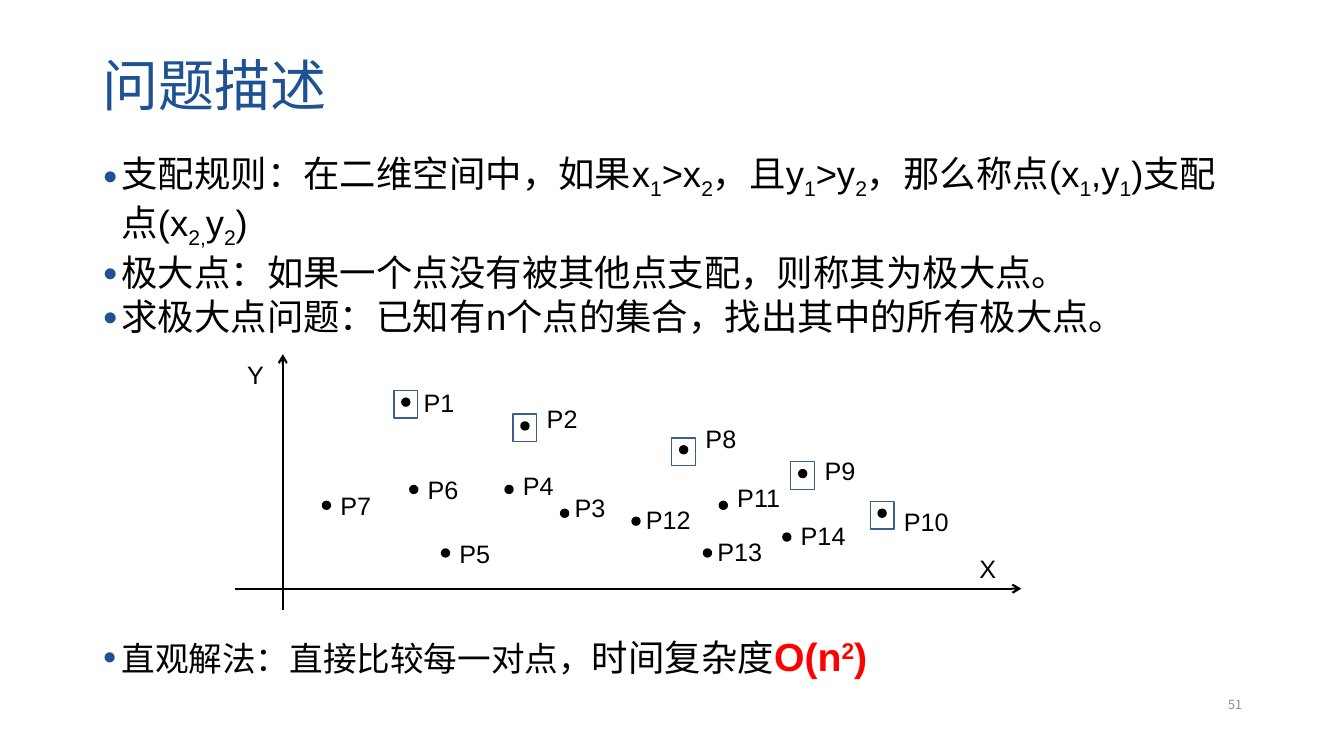
from lxml import etree
from pptx import Presentation
from pptx.dml.color import RGBColor
from pptx.enum import shapes, text
from pptx.oxml import ns
from pptx.util import Pt

BLUE = RGBColor(0x1E, 0x52, 0x93)
FRAME = RGBColor(0x3A, 0x5F, 0x8C)
BLACK = RGBColor(0, 0, 0)
RED = RGBColor(0xFF, 0, 0)
GRAY = RGBColor(0x8C, 0x8C, 0x8C)
LATIN, HAN = "Arial", "Noto Sans CJK SC"

# Subscripts stand between bars.
RULES = [
    "支配规则：在二维空间中，如果x|1|>x|2|，且y|1|>y|2|，那么称点(x|1|,y|1|)支配点(x|2,|y|2|)",
    "极大点：如果一个点没有被其他点支配，则称其为极大点。",
    "求极大点问题：已知有n个点的集合，找出其中的所有极大点。",
]

STEP = 5.67  # grid unit of the plot
# name, grid x, grid y, label shift right, label shift up, maximal
POINTS = [
    ("P1", 21, 24, 1.5, 2, True),
    ("P2", 36, 21, 2, 3, True),
    ("P3", 41, 10, 0.5, 2.8, False),
    ("P4", 34, 13, 1, 2.5, False),
    ("P5", 26, 5, 1, 2, False),
    ("P6", 22, 13, 1, 2, False),
    ("P7", 11, 11, 1, 2, False),
    ("P8", 56, 18, 2, 3.4, True),
    ("P9", 71, 15, 2, 2.4, True),
    ("P10", 81, 10, 2, 1, True),
    ("P11", 61, 11, 1, 3, False),
    ("P12", 50, 9, 0.5, 2.2, False),
    ("P13", 59, 5, 0.5, 2.2, False),
    ("P14", 69, 7, 1, 2.2, False),
]


def style(run, size, color=BLACK, bold=False, shift=0, latin=LATIN):
    """Format a run; shift raises or lowers it by a percentage."""
    font = run.font
    font.size, font.bold, font.name = Pt(size), bold, latin
    font.color.rgb = color
    props = run._r.get_or_add_rPr()
    etree.SubElement(props, ns.qn("a:ea")).set("typeface", HAN)
    if shift:
        props.set("baseline", str(shift * 1000))


def frame(slide, left, top, width, height, wrap=True):
    box = slide.shapes.add_textbox(Pt(left), Pt(top), Pt(width), Pt(height))
    box.text_frame.word_wrap = wrap
    return box.text_frame


def bullet(para, pitch):
    """Give the paragraph a blue dot, a hanging indent and a line pitch."""
    para.line_spacing = Pt(pitch)
    props = para._p.get_or_add_pPr()
    props.set("marL", str(Pt(13.5)))
    props.set("indent", str(-Pt(13.5)))
    color = etree.SubElement(props, ns.qn("a:buClr"))
    etree.SubElement(color, ns.qn("a:srgbClr")).set("val", str(BLUE))
    etree.SubElement(props, ns.qn("a:buSzPct")).set("val", "70000")
    etree.SubElement(props, ns.qn("a:buFont")).set("typeface", LATIN)
    etree.SubElement(props, ns.qn("a:buChar")).set("char", "●")


def add(para, words, *args):
    run = para.add_run()
    run.text = words
    style(run, *args)


def line(slide, words, box, size, color, **look):
    """Place one line of text, centred vertically in its box."""
    body = frame(slide, *box)
    body.text = words
    body.vertical_anchor = text.MSO_ANCHOR.MIDDLE
    style(body.paragraphs[0].runs[0], size, color, **look)
    return body.paragraphs[0]


def rules(slide, left, top, width, height):
    body = frame(slide, left, top, width, height)
    for i, rule in enumerate(RULES):
        para = body.paragraphs[0] if i == 0 else body.add_paragraph()
        bullet(para, 35 if "|" in rule else 31.5)
        for j, part in enumerate(rule.split("|")):
            add(para, part, 26, BLACK, False, -25 * (j % 2))


def method(slide, left, top, width, height):
    para = frame(slide, left, top, width, height).paragraphs[0]
    bullet(para, 34)
    add(para, "直观解法：直接比较每一对点，", 24)
    add(para, "时间复杂度", 26)
    for part, shift in (("O(n", 0), ("2", 30), (")", 0)):
        add(para, part, 28, RED, True, shift)


def axis(slide, *ends):
    kind = shapes.MSO_CONNECTOR.STRAIGHT
    rod = slide.shapes.add_connector(kind, *map(Pt, ends))
    rod.line.color.rgb = BLACK
    rod.line.width = Pt(1.5)
    tip = etree.SubElement(rod.line._get_or_add_ln(), ns.qn("a:tailEnd"))
    tip.set("type", "arrow")
    etree.SubElement(rod._element.spPr, ns.qn("a:effectLst"))


def mark(slide, kind, left, top, width, height, edge, fill=None):
    shape = slide.shapes.add_shape(kind, Pt(left), Pt(top), Pt(width), Pt(height))
    shape.shadow.inherit = False
    shape.line.color.rgb = edge
    shape.line.width = Pt(1)
    if fill is None:
        shape.fill.background()
    else:
        shape.fill.solid()
        shape.fill.fore_color.rgb = fill


def label(slide, words, left, top):
    body = frame(slide, left, top, 50, 29, wrap=False)
    body.text = words
    style(body.paragraphs[0].runs[0], 18)


def plot(slide, left, top, width, height):
    """Draw the axes and the points; the X axis lies 15 above the bottom."""
    base = top + height - 15
    stem = left + 6 * STEP
    axis(slide, left, base, left + width, base)
    axis(slide, stem, top + height, stem, top)
    kinds = shapes.MSO_SHAPE
    for name, col, row, right, up, best in POINTS:
        x, y = left + col * STEP, base - row * STEP
        mark(slide, kinds.OVAL, x, y, STEP, STEP, BLACK, BLACK)
        if best:
            mark(slide, kinds.RECTANGLE, x - STEP, y - STEP,
                 3 * STEP, 3.5 * STEP, FRAME)
        label(slide, name, x + right * STEP, y - up * STEP)
    label(slide, "X", left + width - 37, base - 29)
    label(slide, "Y", left + 1.5, top)


def main():
    deck = Presentation()
    deck.slide_width, deck.slide_height = Pt(960), Pt(540)
    slide = deck.slides.add_slide(deck.slide_layouts[6])
    left, width = 66.25, 828
    title = line(slide, "问题描述", (left, 10.8, width, 104.4), 40, BLUE)
    title.line_spacing = 0.9
    rules(slide, left, 105, width, 140)
    plot(slide, 168, 253, 561.5, 182.5)
    method(slide, left, 447.8, width, 42)
    page = line(slide, "51", (678.25, 489, 216, 28.8), 9, GRAY, latin=HAN)
    page.alignment = text.PP_ALIGN.RIGHT
    deck.save("out.pptx")


if __name__ == "__main__":
    main()
